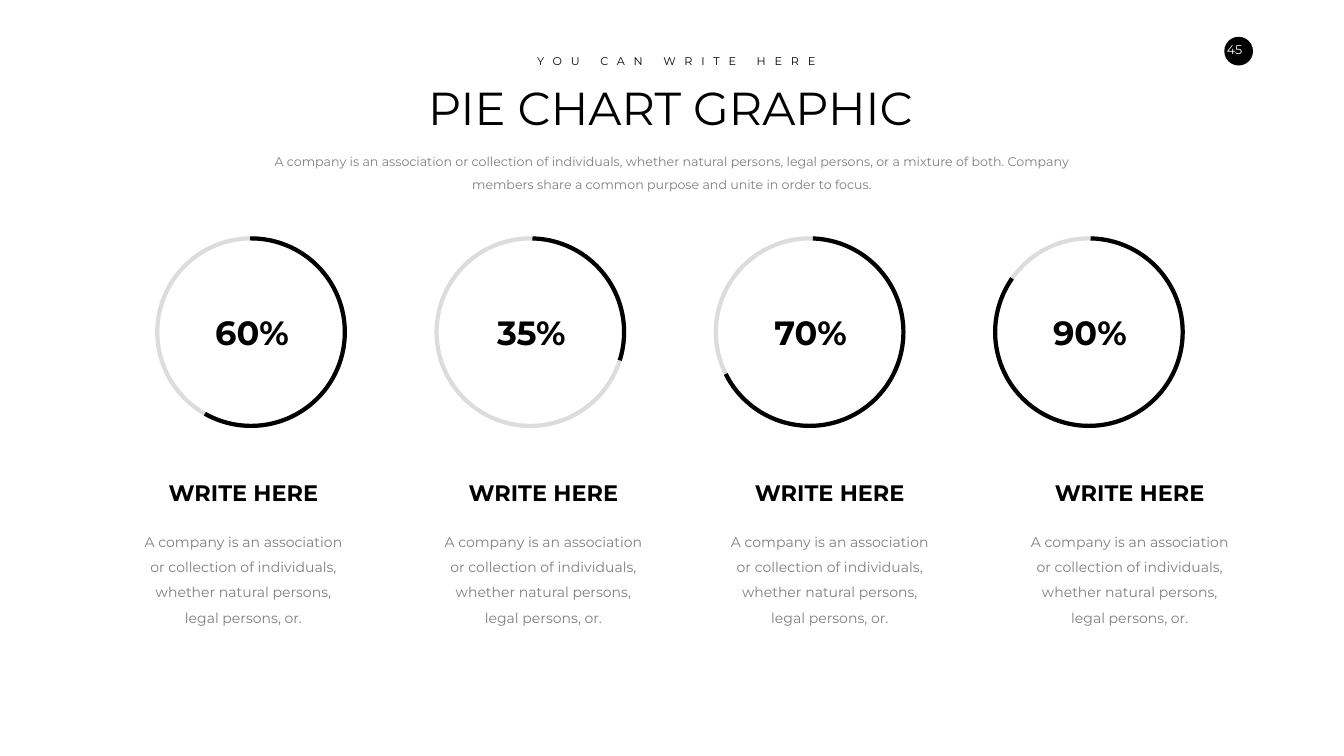
from dataclasses import dataclass

from pptx import Presentation
from pptx.dml.color import RGBColor
from pptx.enum.shapes import MSO_SHAPE as Shape
from pptx.enum.text import MSO_ANCHOR as Anchor, MSO_AUTO_SIZE as AutoSize, PP_ALIGN as Align
from pptx.util import Inches, Pt

# Content
KICKER = "YOU CAN WRITE HERE"
TITLE = "PIE CHART GRAPHIC"
INTRO = ("A company is an association or collection of individuals, whether natural persons, "
         "legal persons, or a mixture of both. Company members share a common purpose "
         "and unite in order to focus.")
PAGE_NUMBER = "45"
HEADING = "WRITE HERE"
BODY = ("A company is an association or collection of individuals, "
        "whether natural persons, legal persons, or.")
# Label, arc start and end in degrees clockwise from three o'clock, centre of the texts
RINGS = [
    ("60%", 269.5, 119.51, 4.83),
    ("35%", 271.3, 17.52, 10.78),
    ("70%", 272, 153.48, 16.46),
    ("90%", 271.01, 214.95, 22.41),
]


@dataclass(frozen=True)
class Theme:
    font: str = "Montserrat"
    ink: str = "000000"
    grey: str = "7F7F7F"
    track: str = "DCDCDC"
    paper: str = "FFFFFF"
    title: int = 66
    percent: int = 48
    heading: int = 32
    body: int = 20
    small: int = 18
    kicker: int = 16
    ring_line: int = 6


THEME = Theme()

# Layout in inches
WIDTH, HEIGHT = 26.66, 15
MIDDLE = WIDTH / 2
RING_SIZE, RING_TOP = 3.72, 4.73
FIRST_RING, RING_PITCH = 4.98, 5.54
ADJUST_PER_DEGREE = 0.6
TRACKING = 12.6


def area(centre, top, width, height):
    return [Inches(value) for value in (centre - width / 2, top, width, height)]


def write(box, text, size, color=THEME.ink, bold=False, spacing=1.0, insets=(0.1, 0.05)):
    frame = box.text_frame
    side, edge = (Inches(inset) for inset in insets)
    settings = {"word_wrap": True, "auto_size": AutoSize.NONE, "vertical_anchor": Anchor.TOP,
                "margin_left": side, "margin_right": side,
                "margin_top": edge, "margin_bottom": edge}
    for name, value in settings.items():
        setattr(frame, name, value)
    para = frame.paragraphs[0]
    para.alignment, para.line_spacing = Align.CENTER, spacing
    span = para.add_run()
    span.text = text
    for name, value in {"name": THEME.font, "size": Pt(size), "bold": bold}.items():
        setattr(span.font, name, value)
    span.font.color.rgb = RGBColor.from_string(color)
    return span


def add_text(page, place, text, size, **style):
    return write(page.shapes.add_textbox(*area(*place)), text, size, **style)


def add_outline(page, kind, place, color):
    shape = page.shapes.add_shape(kind, *area(*place))
    shape.shadow.inherit = False
    shape.fill.background()
    shape.line.color.rgb = RGBColor.from_string(color)
    shape.line.width = Pt(THEME.ring_line)
    return shape


def add_header(page):
    title = page.shapes.title
    title.left, title.top, title.width, title.height = area(MIDDLE - 0.03, 1.52, 12.9, 1.21)
    write(title, TITLE, THEME.title)
    add_text(page, (MIDDLE, 2.86, 16.03, 1.01), INTRO, THEME.small,
             color=THEME.grey, spacing=1.5)
    # Letter-spaced line; the box moves right to offset the space after the last letter
    kicker = add_text(page, (MIDDLE + TRACKING / 144, 1.02, 6.85, 0.37), KICKER, THEME.kicker)
    kicker.font._element.set("spc", str(round(TRACKING * 100)))


def add_page_number(page):
    badge = page.shapes.add_shape(Shape.OVAL, *area(24.57, 0.73, 0.57, 0.57))
    badge.shadow.inherit = False
    badge.fill.solid()
    badge.fill.fore_color.rgb = RGBColor.from_string(THEME.ink)
    badge.line.fill.background()
    add_text(page, (24.49, 0.73, 0.86, 0.5), PAGE_NUMBER, THEME.small,
             color=THEME.paper, insets=(0.2, 0.1))


def add_column(page, index, label, start, end, text_centre):
    # Ring with its share and label
    centre = FIRST_RING + index * RING_PITCH
    place = (centre, RING_TOP, RING_SIZE, RING_SIZE)
    add_outline(page, Shape.OVAL, place, THEME.track)
    arc = add_outline(page, Shape.ARC, place, THEME.ink)
    for position, degrees in enumerate((start, end)):
        arc.adjustments[position] = degrees * ADJUST_PER_DEGREE
    add_text(page, (centre + 0.02, 6.19, 1.94, 0.95), label, THEME.percent,
             bold=True, insets=(0, 0))
    # Heading and text below
    add_text(page, (text_centre, 9.46, 3.96, 0.64), HEADING, THEME.heading, bold=True)
    add_text(page, (text_centre, 10.37, 4.33, 2.12), BODY, THEME.body,
             color=THEME.grey, spacing=1.5)


def main():
    deck = Presentation()
    deck.slide_width, deck.slide_height = Inches(WIDTH), Inches(HEIGHT)
    page = deck.slides.add_slide(deck.slide_layouts[5])
    add_header(page)
    add_page_number(page)
    for index, ring in enumerate(RINGS):
        add_column(page, index, *ring)
    deck.save("out.pptx")


if __name__ == "__main__":
    main()
